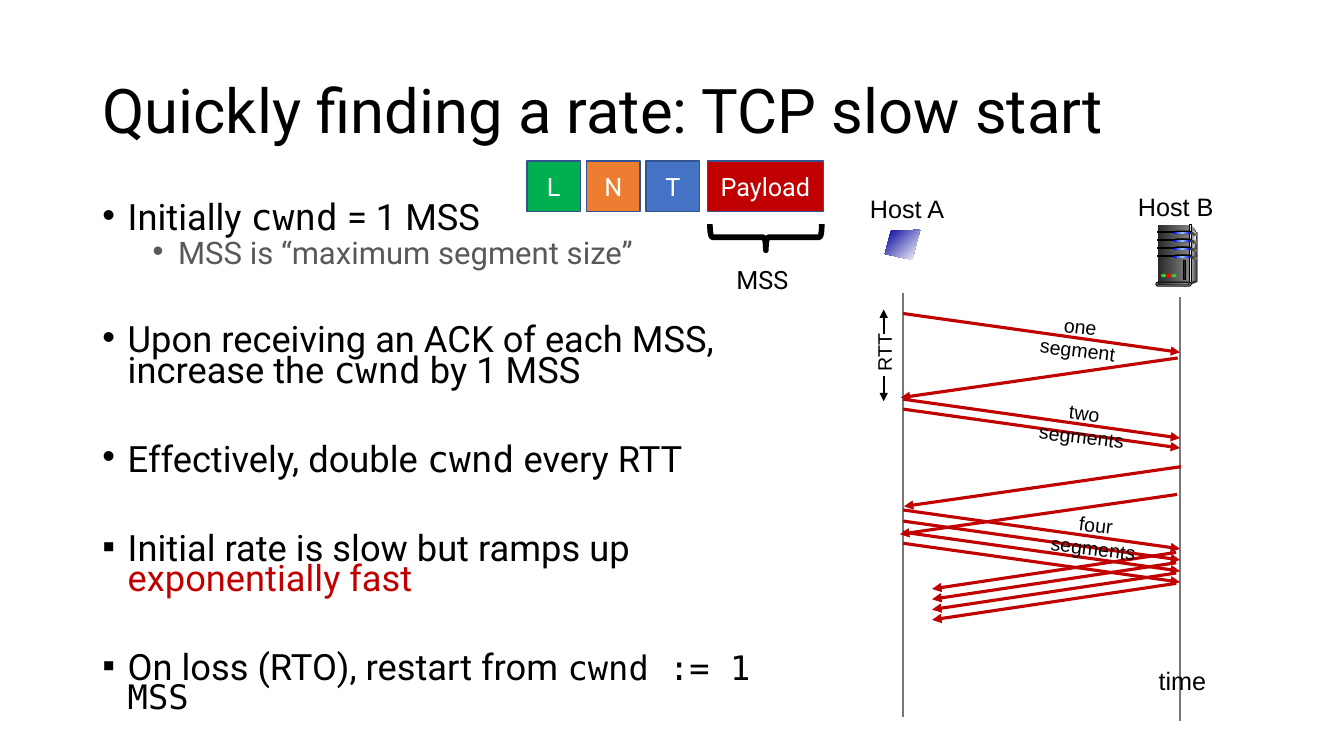
from copy import deepcopy

from lxml.etree import SubElement as Sub
from pptx import Presentation
from pptx.dml.color import RGBColor
from pptx.enum.shapes import MSO_CONNECTOR as Link, MSO_SHAPE as Kind
from pptx.enum.text import MSO_ANCHOR as Anchor, MSO_AUTO_SIZE as Auto, PP_ALIGN as Align
from pptx.oxml.ns import qn
from pptx.util import Cm, Pt

BLACK = RGBColor(0, 0, 0)
WHITE = RGBColor(0xFF, 0xFF, 0xFF)
RED = RGBColor(0xC0, 0, 0)
GREEN = RGBColor(0, 0xB0, 0x50)
ORANGE = RGBColor(0xED, 0x7D, 0x31)
BLUE = RGBColor(0x44, 0x72, 0xC4)
NAVY = RGBColor(0x32, 0x54, 0x91)
GREY = RGBColor(0x59, 0x59, 0x59)
AXIS = RGBColor(0x77, 0x77, 0x77)
COAL = RGBColor(0x29, 0x29, 0x29)
DARK = RGBColor(0x33, 0x33, 0x33)
STEEL = RGBColor(0x80, 0x80, 0x80)
PALE = RGBColor(0xDD, 0xDD, 0xDD)
MIST = RGBColor(0xF8, 0xF8, 0xF8)
SLATE = RGBColor(0x44, 0x54, 0x6A)
CLOUD = RGBColor(0xE7, 0xE6, 0xE6)
INK = RGBColor(0, 0, 0x99)
GLOW = RGBColor(0, 0, 0xFF)
SKY = RGBColor(0x99, 0xCC, 0xFF)
LIME = RGBColor(0x33, 0xCC, 0x33)
ALERT = RGBColor(0xFF, 0, 0)

SANS, MONO, ARIAL = "Roboto", "DejaVu Sans Mono", "Arial"
BODY = [
    ("•", 0, [("Initially ", SANS), ("cwnd", MONO), (" = 1 MSS", SANS)]),
    ("•", 1, [("MSS is “maximum segment size”", SANS, 22.2, GREY)]),
    ("•", 0, [("Upon receiving an ACK of each MSS, increase the ", SANS),
              ("cwnd", MONO), (" by 1 MSS", SANS)]),
    ("•", 0, [("Effectively, double ", SANS), ("cwnd", MONO), (" every RTT", SANS)]),
    ("▪", 0, [("Initial rate is slow but ramps up ", SANS),
              ("exponentially fast", SANS, 25.9, RED)]),
    ("▪", 0, [("On loss (RTO), restart from ", SANS), ("cwnd := 1 MSS", MONO, 24.1)]),
]


def write(par, text, face=SANS, size=25.9, hue=BLACK):
    """Add one run to a paragraph."""
    run = par.add_run()
    run.text = text
    run.font.name, run.font.size = face, Pt(size)
    run.font.color.rgb = hue


def label(slide, box, text, face=ARIAL, size=18, turn=0, wrap=False, pad=0.25,
          align=Align.CENTER):
    """Add a one-paragraph text box."""
    item = slide.shapes.add_textbox(*map(Cm, box))
    item.rotation = turn
    frame = item.text_frame
    frame.word_wrap = wrap
    frame.margin_left = frame.margin_right = Cm(pad)
    par = frame.paragraphs[0]
    par.alignment = align
    write(par, text, face, size)


def paint(item, hues, edge=None, width=0.75, angle=0):
    """Fill with one colour or a gradient, and outline if an edge is given."""
    item.shadow.inherit = False
    if len(hues) == 1:
        item.fill.solid()
        item.fill.fore_color.rgb = hues[0]
    else:
        item.fill.gradient()
        item.fill.gradient_angle = angle
        stops = item._element.spPr.find(qn("a:gradFill")).find(qn("a:gsLst"))
        for _ in hues[2:]:
            stops.append(deepcopy(stops[0]))
        for i, (stop, hue) in enumerate(zip(item.fill.gradient_stops, hues)):
            stop.position = i / (len(hues) - 1)
            stop.color.rgb = hue
    if edge is None:
        item.line.fill.background()
    else:
        item.line.color.rgb = edge
        item.line.width = Pt(width)


def block(slide, kind, box, *hues, edge=None, width=0.75):
    """Add a painted preset shape."""
    item = slide.shapes.add_shape(kind, *map(Cm, box))
    if kind == Kind.ROUNDED_RECTANGLE:
        item.adjustments[0] = 0.5
    paint(item, hues, edge, width)
    return item


def patch(slide, left, top, dots, *hues, angle=0):
    """Add a painted polygon with dots measured from left and top."""
    dots = [(Cm(left + x), Cm(top + y)) for x, y in dots]
    form = slide.shapes.build_freeform(*dots[0])
    form.add_line_segments(dots[1:], close=True)
    paint(form.convert_to_shape(), hues, angle=angle)


def line(slide, x1, y1, x2, y2, hue, width, arrow=True):
    """Add a straight line, with an arrowhead at its end if asked."""
    item = slide.shapes.add_connector(Link.STRAIGHT, *map(Cm, (x1, y1, x2, y2)))
    item.line.color.rgb = hue
    item.line.width = Pt(width)
    if arrow:
        Sub(item.line._get_or_add_ln(), qn("a:tailEnd"), type="triangle")
    Sub(item._element.spPr, qn("a:effectLst"))


def title(slide, box):
    """Place and format the title."""
    head = slide.shapes.title
    head.left, head.top, head.width, head.height = map(Cm, box)
    frame = head.text_frame
    frame.auto_size, frame.vertical_anchor = Auto.NONE, Anchor.MIDDLE
    par = frame.paragraphs[0]
    par.alignment, par.line_spacing = Align.LEFT, 0.9
    write(par, "Quickly finding a rate: TCP slow start", size=44)


def body(slide, box):
    """Write the bullet list."""
    frame = slide.shapes.add_textbox(*map(Cm, box)).text_frame
    frame.word_wrap = True
    for i, (mark, level, runs) in enumerate(BODY):
        par = frame.paragraphs[0] if i == 0 else frame.add_paragraph()
        prop = par._p.get_or_add_pPr()
        prop.set("marL", str(Cm(0.64 + 1.27 * level)))
        prop.set("indent", str(-Cm(0.64)))
        Sub(prop, qn("a:buFont"), typeface=ARIAL)
        Sub(prop, qn("a:buChar"), char=mark)
        par.line_spacing = 0.7
        par.space_before = Pt(0 if i == 0 else 5 if level else 41.8)
        for run in runs:
            write(par, *run)


def packet(slide, left, top):
    """Draw the packet fields and the brace under the payload."""
    fields = [("L", 0, 1.35, GREEN), ("N", 1.5, 1.35, ORANGE),
              ("T", 3, 1.35, BLUE), ("Payload", 4.55, 2.92, RED)]
    for name, x, wide, hue in fields:
        item = block(slide, Kind.RECTANGLE, (left + x, top, wide, 1.27), hue,
                     edge=NAVY, width=1)
        frame = item.text_frame
        frame.word_wrap, frame.vertical_anchor = False, Anchor.MIDDLE
        frame.paragraphs[0].alignment = Align.CENTER
        write(frame.paragraphs[0], name, size=18, hue=WHITE)
    brace = block(slide, Kind.RIGHT_BRACE, (left + 5.69, top + 0.51, 0.66, 2.82),
                  WHITE, edge=BLACK, width=4)
    brace.fill.background()
    brace.rotation = 90
    label(slide, (left + 5.03, top + 2.47, 3.1, 1.02), "MSS", SANS, wrap=True,
          align=Align.LEFT)


def flow(slide, left, top, wide, high):
    """Draw the two host time lines and the segments between them."""
    for x, shift in ((0, 0), (wide, 0.1)):
        line(slide, left + x, top + shift, left + x, top + shift + high, AXIS, 1.5, False)
    sends = [0.51, 2.67, 2.92] + [5.46 + 0.28 * i for i in range(4)]
    hops = [(0, y, wide, y + 0.98) for y in sends]
    hops += [(wide + x, y, x, y + 1) for x, y in ((-0.06, 1.63), (0.02, 4.37), (-0.08, 5.07))]
    hops += [(wide - 0.1, y, 0.73, y + 0.92) for y in (6.53 + 0.26 * i for i in range(4))]
    for x1, y1, x2, y2 in hops:
        line(slide, left + x1, top + y1, left + x2, top + y2, RED, 2.25)
    for y1, y2 in ((1.02, 0.41), (2.08, 2.72)):
        line(slide, left - 0.49, top + y1, left - 0.49, top + y2, BLACK, 1.5)
    label(slide, (left - 1.22, top + 1.07, 1.47, 0.84), "RTT", size=14, turn=270)
    for count, x, y in (("one segment", 4.47, 0.83), ("two segments", 4.57, 3.01),
                        ("four segments", 4.86, 5.83)):
        label(slide, (left + x - 1.7, top + y - 0.42, 3.4, 0.84), count, size=14,
              turn=6.8, wrap=True, pad=0.42)
    for name, x, y in (("Host A", 0.1, -2.65), ("Host B", wide - 0.11, -2.7),
                       ("time", wide + 0.06, 9.25)):
        label(slide, (left + x - 1.6, top + y, 3.2, 1.02), name)


def screen(slide, left, top):
    """Draw the screen of host A."""
    dots = [(0.89, 0), (0.15, 0.03), (0, 0.61), (0.69, 0.76)]
    patch(slide, left, top, dots, INK, WHITE, angle=315)


def server(slide, left, top):
    """Draw the server tower of host B."""
    def part(kind, x, y, wide, high, *hues, edge=None):
        """Add a part measured from the tower corner."""
        block(slide, kind, (left + x, top + y, wide, high), *hues, edge=edge)

    rect, pill, oval = Kind.RECTANGLE, Kind.ROUNDED_RECTANGLE, Kind.OVAL
    patch(slide, left, top, [(0.89, 0.03), (1.04, 0.2), (1.04, 1.4), (0.84, 1.47)], PALE, DARK)
    part(rect, 0.05, 0, 0.79, 1.45, COAL, STEEL)
    patch(slide, left, top, [(0.89, 0.1), (1.02, 0.23), (0.92, 0.8), (0.89, 1.42)], STEEL, MIST)
    part(rect, 0.84, 0, 0.05, 1.45, DARK, PALE, DARK, edge=BLACK)
    for y in (0.18 + 0.2 * i for i in range(4)):
        part(rect, 0.05, y, 0.46, 0.03, BLACK, edge=BLACK)
        part(pill, 0.46, y - 0.03, 0.43, 0.09, BLACK)
        part(pill, 0.46, y, 0.41, 0.07, GLOW, SKY, GLOW)
        vent = [(0.86, y), (1.04, y + 0.06), (1.04, y + 0.12), (0.86, y + 0.05)]
        patch(slide, left, top, vent, COAL, STEEL)
    part(oval, 1.02, 1.4, 0.03, 0.05, DARK)
    patch(slide, left, top, [(0.86, 1.45), (0.86, 1.52), (1.04, 1.45), (1.04, 1.4)], DARK)
    part(pill, 0, 1.45, 0.89, 0.1, PALE, edge=BLACK)
    part(pill, 0.05, 1.47, 0.79, 0.05, SLATE, CLOUD, edge=BLACK)
    for i, hue in enumerate((LIME, ALERT, LIME)):
        part(oval, 0.13 + 0.13 * i, 1.24, 0.13, 0.09, hue)
    part(rect, 0.69, 0.91, 0.05, 0.48, COAL, edge=BLACK)


def main():
    """Build and save the slide."""
    deck = Presentation()
    deck.slide_width, deck.slide_height = Cm(33.87), Cm(19.05)
    slide = deck.slides.add_slide(deck.slide_layouts[5])
    title(slide, (2.33, 1.01, 29.21, 3.68))
    body(slide, (2.33, 5.07, 18.75, 13.67))
    flow(slide, 22.76, 7.39, 6.98, 10.68)
    screen(slide, 22.3, 5.79)
    server(slide, 29.13, 5.66)
    packet(slide, 13.28, 4.06)
    deck.save("out.pptx")


if __name__ == "__main__":
    main()
